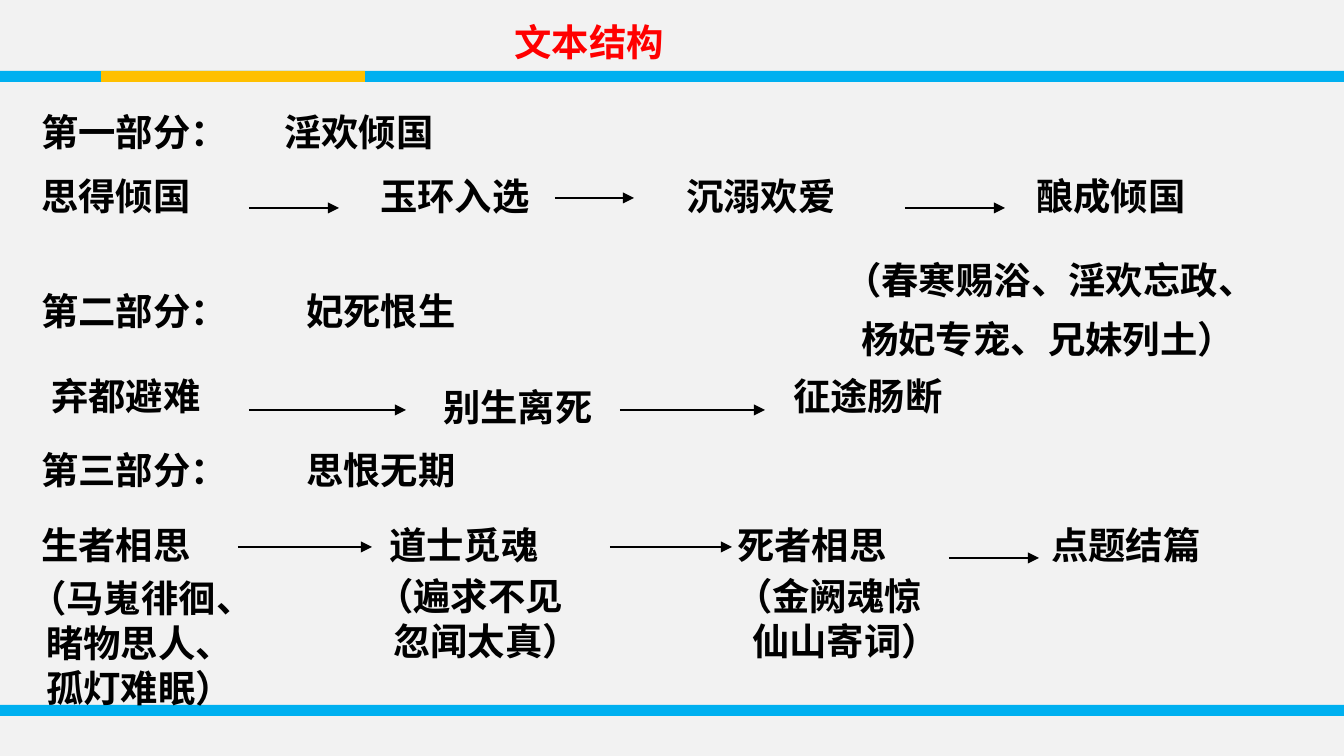
from lxml.etree import SubElement
from pptx import Presentation
from pptx.dml.color import RGBColor
from pptx.enum.shapes import MSO_CONNECTOR, MSO_SHAPE
from pptx.enum.text import MSO_ANCHOR, MSO_AUTO_SIZE, PP_ALIGN
from pptx.oxml.ns import qn
from pptx.util import Pt

W, H = 1344, 756
SCALE = 9144000 / W
FONT = "Noto Sans CJK SC"
EM, INSET_X, INSET_Y, LINE_H = 37.33, 13.44, 6.72, 45
HANG = 17  # later lines align under the text after the opening bracket

TITLE = "文本结构"
BARS = [  # left, top, width, colour
    (0, 705, W, "00B0F0"),
    (0, 71, W, "00B0F0"),
    (101, 71, 264, "FFC000"),
]
BAR_H = 11
# Each part: top, heading, theme, left of theme
PARTS = [
    (103, "第一部分：", "淫欢倾国", 271),
    (282, "第二部分：", "妃死恨生", 293),
    (441, "第三部分：", "思恨无期", 293),
]
PART_LEFT = 28
STAGES = [  # left, top, text
    (28, 167, "思得倾国"), (367, 167, "玉环入选"),
    (673, 167, "沉溺欢爱"), (1023, 167, "酿成倾国"),
    (38, 367, "弃都避难"), (430, 378, "别生离死"), (780, 367, "征途肠断"),
    (28, 516, "生者相思"), (376, 516, "道士觅魂"),
    (724, 516, "死者相思"), (1038, 516, "点题结篇"),
]
NOTES = [  # left, top, space before later lines in points, lines
    (831, 251, 7.5, ["（春寒赐浴、淫欢忘政、", "杨妃专宠、兄妹列土）"]),
    (16, 569, 0, ["（马嵬徘徊、", "睹物思人、", "孤灯难眠）"]),
    (363, 567, 0, ["（遍求不见", "忽闻太真）"]),
    (722, 567, 0, ["（金阙魂惊", "仙山寄词）"]),
]
ARROWS = [  # start, end, height on the slide
    (249, 339, 208), (555, 634, 198), (905, 1005, 208),
    (249, 406, 410), (620, 765, 410),
    (238, 372, 547), (610, 732, 547), (949, 1039, 558),
]


def px(n):
    return round(n * SCALE)


def rgb(value):
    return RGBColor.from_string(value)


def format_run(r, color):
    for name, value in {"name": FONT, "size": Pt(20), "bold": True}.items():
        setattr(r.font, name, value)
    r.font.color.rgb = rgb(color)
    SubElement(r._r.get_or_add_rPr(), qn("a:ea"), typeface=FONT)


def fill_text(shape, lines, color="000000", gap=0):
    tf = shape.text_frame
    frame = {"word_wrap": False, "auto_size": MSO_AUTO_SIZE.NONE,
             "vertical_anchor": MSO_ANCHOR.TOP,
             "margin_left": px(INSET_X), "margin_right": px(INSET_X),
             "margin_top": px(INSET_Y), "margin_bottom": px(INSET_Y)}
    for name, value in frame.items():
        setattr(tf, name, value)
    for i, line in enumerate(lines):
        p = tf.paragraphs[0] if i == 0 else tf.add_paragraph()
        p.alignment = PP_ALIGN.LEFT
        p.space_before = Pt(gap if i else 0)
        if i:
            p._p.get_or_add_pPr().set("marL", str(px(HANG)))
        r = p.add_run()
        r.text = line
        format_run(r, color)


def add_text(s, left, top, lines, gap=0):
    """Add a text box just large enough for its lines."""
    width = max(len(t) * EM + (HANG if i else 0)
                for i, t in enumerate(lines)) + 2 * INSET_X
    height = len(lines) * LINE_H + 2 * INSET_Y
    height += (len(lines) - 1) * Pt(gap) / SCALE
    box = s.shapes.add_textbox(px(left), px(top), px(width), px(height))
    fill_text(box, lines, gap=gap)


def add_bar(s, left, top, width, color):
    bar = s.shapes.add_shape(MSO_SHAPE.RECTANGLE, px(left), px(top),
                             px(width), px(BAR_H))
    bar.shadow.inherit = False
    bar.fill.solid()
    bar.fill.fore_color.rgb = rgb(color)
    bar.line.fill.background()


def add_arrow(s, start, end, y):
    arrow = s.shapes.add_connector(MSO_CONNECTOR.STRAIGHT,
                                   px(start), px(y), px(end), px(y))
    arrow.line.color.rgb = rgb("000000")
    arrow.line.width = Pt(0.75)
    SubElement(arrow.line._get_or_add_ln(), qn("a:tailEnd"), type="triangle")
    SubElement(arrow._element.spPr, qn("a:effectLst"))


def main():
    prs = Presentation()
    prs.slide_width, prs.slide_height = px(W), px(H)
    s = prs.slides.add_slide(prs.slide_layouts[5])
    s.background.fill.solid()
    s.background.fill.fore_color.rgb = rgb("F2F2F2")

    for bar in BARS:
        add_bar(s, *bar)

    title = s.shapes.title
    title.left, title.top, title.width, title.height = map(
        px, (501, 12, 190, 59))
    fill_text(title, [TITLE], "FF0000")

    for top, heading, theme, theme_left in PARTS:
        add_text(s, PART_LEFT, top, [heading])
        add_text(s, theme_left, top, [theme])
    for left, top, stage in STAGES:
        add_text(s, left, top, [stage])
    for left, top, gap, lines in NOTES:
        add_text(s, left, top, lines, gap)
    for arrow in ARROWS:
        add_arrow(s, *arrow)

    prs.save("out.pptx")


if __name__ == "__main__":
    main()
